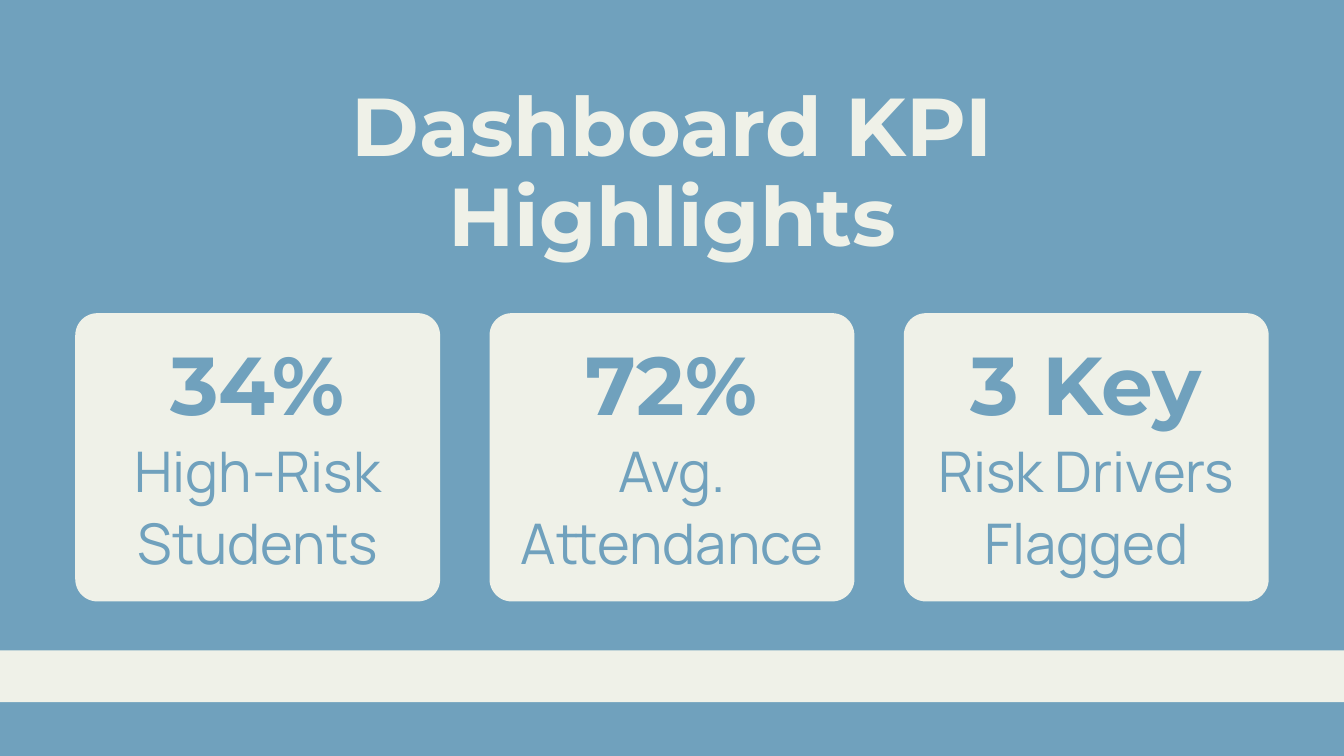
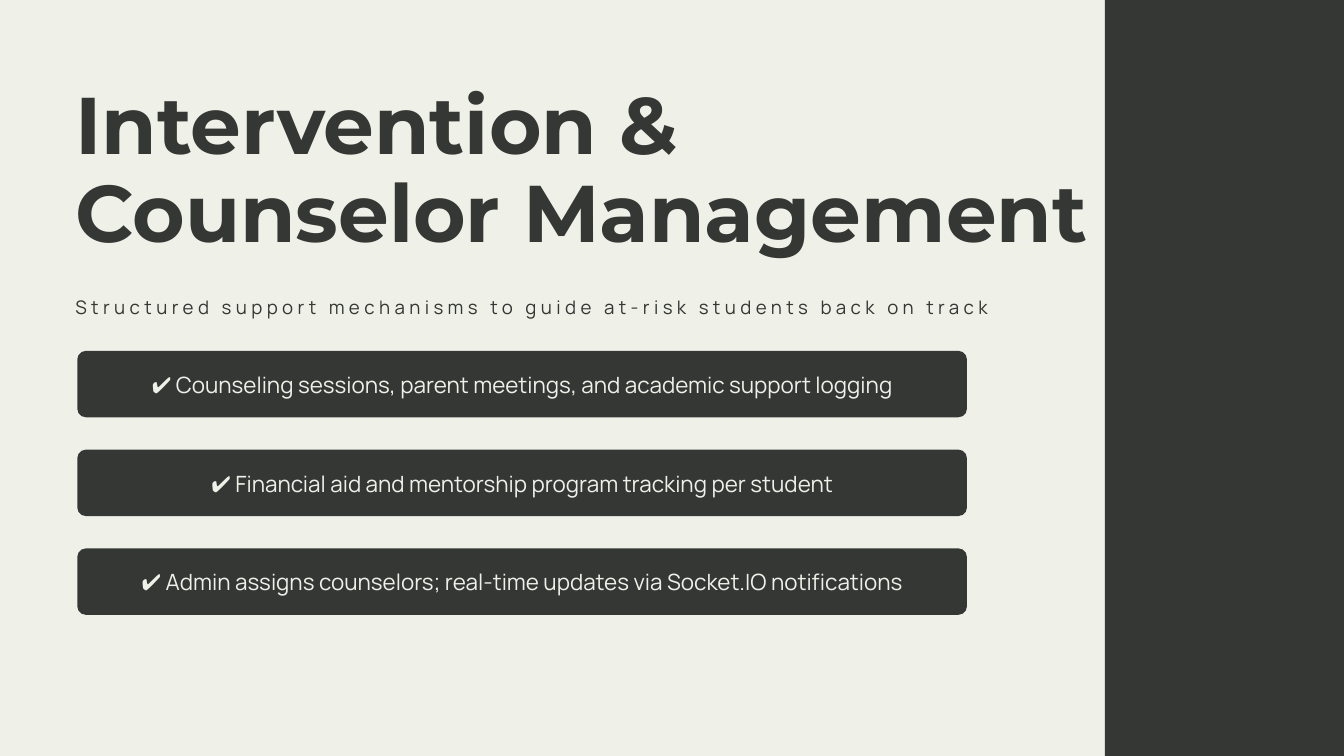
from pptx import Presentation
from pptx.dml.color import RGBColor
from pptx.enum.shapes import MSO_SHAPE as Shape
from pptx.enum.text import MSO_ANCHOR as Anchor, MSO_AUTO_SIZE as AutoSize, PP_ALIGN as Align
from pptx.util import Inches, Pt

BLUE = RGBColor(0x70, 0xA1, 0xBD)
CREAM = RGBColor(0xEF, 0xF1, 0xE8)
CHARCOAL = RGBColor(0x34, 0x37, 0x34)
HEADING = "Montserrat"
BODY = "Manrope"
WIDTH, HEIGHT = 20, 11.25


class Deck:
    def __init__(self):
        self.prs = Presentation()
        self.prs.slide_width = Inches(WIDTH)
        self.prs.slide_height = Inches(HEIGHT)
        self.slide = None

    def new_slide(self, background):
        self.slide = self.prs.slides.add_slide(self.prs.slide_layouts[5])
        fill = self.slide.background.fill
        fill.solid()
        fill.fore_color.rgb = background

    def set_text(self, frame, words, size, color, leading, font=BODY,
                 align=Align.CENTER, anchor=Anchor.TOP, bottom=0, tracking=None):
        frame.word_wrap = True
        frame.auto_size = AutoSize.NONE
        frame.vertical_anchor = anchor
        frame.margin_left = frame.margin_right = frame.margin_top = 0
        frame.margin_bottom = Inches(bottom)
        paragraph = frame.paragraphs[0]
        run = paragraph.add_run()
        run.text = words
        paragraph.alignment = align
        paragraph.line_spacing = Pt(leading)
        paragraph.font.name = font
        paragraph.font.size = Pt(size)
        paragraph.font.bold = font == HEADING
        paragraph.font.color.rgb = color
        if tracking:
            run._r.get_or_add_rPr().set("spc", str(round(tracking * 100)))

    def title(self, words, left, top, width, height, size, color, leading, align):
        title = self.slide.shapes.title
        title.left, title.top = Inches(left), Inches(top)
        title.width, title.height = Inches(width), Inches(height)
        self.set_text(title.text_frame, words, size, color, leading, HEADING, align)

    def text(self, words, left, top, width, height, size, color, leading, **style):
        box = self.slide.shapes.add_textbox(
            Inches(left), Inches(top), Inches(width), Inches(height))
        self.set_text(box.text_frame, words, size, color, leading, **style)

    def block(self, left, top, width, height, color, radius=0):
        kind = Shape.ROUNDED_RECTANGLE if radius else Shape.RECTANGLE
        block = self.slide.shapes.add_shape(
            kind, Inches(left), Inches(top), Inches(width), Inches(height))
        if radius:
            block.adjustments[0] = radius / min(width, height)
        block.shadow.inherit = False
        block.fill.solid()
        block.fill.fore_color.rgb = color
        block.line.fill.background()
        return block

    def kpi_card(self, value, label, left, top, width):
        self.block(left, top, width, 4.29, CREAM, radius=0.33)
        self.text(value, left + 0.2, top + 0.06, width - 0.4, 1.64,
                  87.9, BLUE, 123.1, font=HEADING)
        self.text(label, left + 0.12, top + 1.77, width - 0.24, 2.17, 60, BLUE, 76.7)

    def action_bar(self, words, left, top, width):
        bar = self.block(left, top, width, 0.99, CHARCOAL, radius=0.13)
        self.set_text(bar.text_frame, words, 24, CREAM, 33.6,
                      anchor=Anchor.MIDDLE, bottom=0.06)


def kpi_slide(deck):
    deck.new_slide(BLUE)
    deck.title("Dashboard KPI Highlights", 2.19, 1.23, 15.63, 2.68,
               87.9, CREAM, 96.7, Align.CENTER)
    kpis = [("34%", "High-Risk Students"),
            ("72%", "Avg. Attendance"),
            ("3 Key", "Risk Drivers Flagged")]
    margin, card_width = 1.12, 5.43
    step = (WIDTH - 2 * margin - card_width) / (len(kpis) - 1)
    for i, (value, label) in enumerate(kpis):
        deck.kpi_card(value, label, margin + i * step, 4.66, card_width)
    deck.block(0, 9.68, WIDTH, 0.77, CREAM)


def intervention_slide(deck):
    deck.new_slide(CREAM)
    deck.title("Intervention & Counselor Management", 1.12, 1.22, 15.15, 2.65,
               86.1, CHARCOAL, 94.7, Align.LEFT)
    deck.text("Structured support mechanisms to guide at-risk students back on track",
              1.12, 4.35, 15.15, 0.39, 20, CHARCOAL, 28,
              align=Align.LEFT, tracking=4.7)
    actions = ["✔ Counseling sessions, parent meetings, and academic support logging",
               "✔ Financial aid and mentorship program tracking per student",
               "✔ Admin assigns counselors; real-time updates via Socket.IO notifications"]
    for i, action in enumerate(actions):
        deck.action_bar(action, 1.15, 5.22 + i * 1.47, 13.24)
    panel_left = 16.44
    deck.block(panel_left, 0, WIDTH - panel_left, HEIGHT, CHARCOAL)


def main():
    deck = Deck()
    kpi_slide(deck)
    intervention_slide(deck)
    deck.prs.save("out.pptx")


if __name__ == "__main__":
    main()
